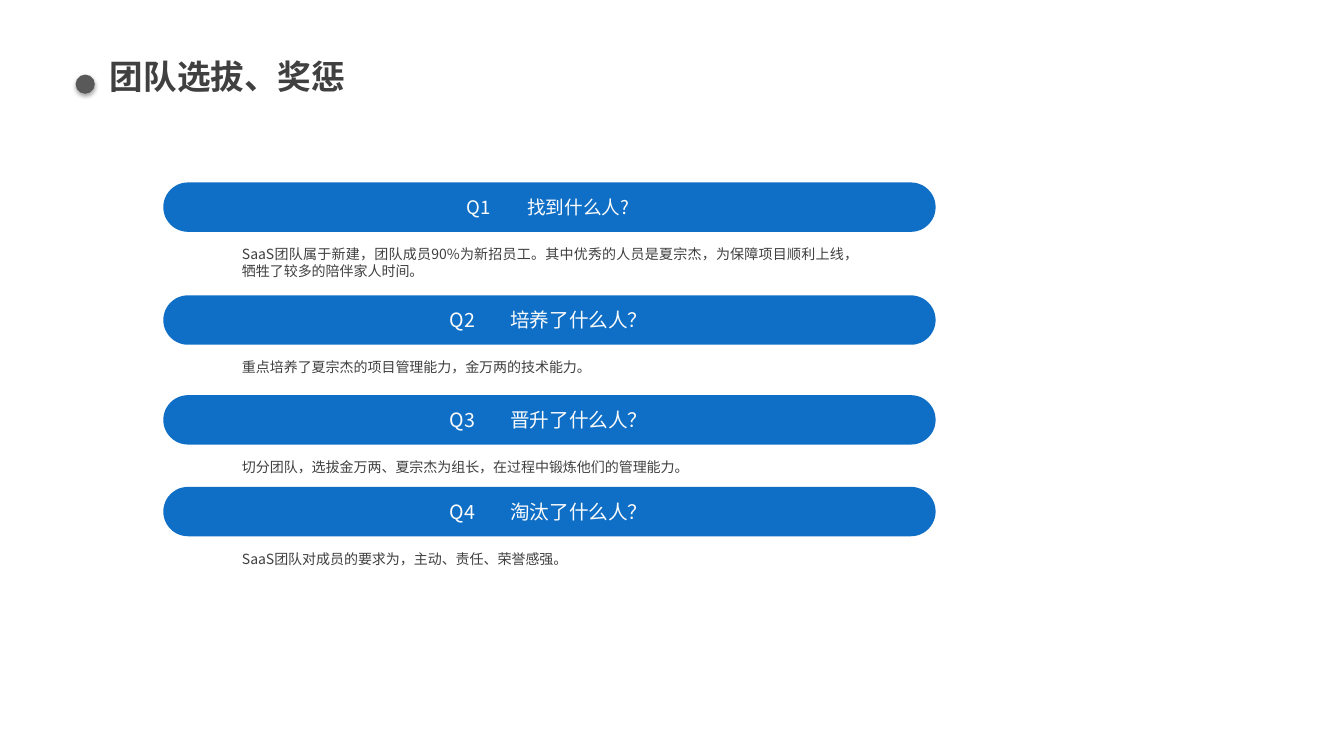
from dataclasses import dataclass

from lxml.etree import SubElement
from pptx import Presentation
from pptx.dml.color import RGBColor
from pptx.enum.shapes import MSO_SHAPE as Preset
from pptx.enum.text import MSO_ANCHOR as Anchor, PP_ALIGN as Align
from pptx.oxml.ns import qn
from pptx.util import Inches, Pt

HEADING = "团队选拔、奖惩"
QUESTIONS = [
    dict(top=1.81, number="Q1", question="找到什么人?", size=13.3, start=4.63,
         answer="SaaS团队属于新建，团队成员90%为新招员工。其中优秀的人员是夏宗杰，"
                "为保障项目顺利上线，牺牲了较多的陪伴家人时间。", lines=2),
    dict(top=2.93, number="Q2", question="培养了什么人？", size=14, start=4.46,
         answer="重点培养了夏宗杰的项目管理能力，金万两的技术能力。", lines=1),
    dict(top=3.92, number="Q3", question="晋升了什么人？", size=14, start=4.46,
         answer="切分团队，选拔金万两、夏宗杰为组长，在过程中锻炼他们的管理能力。", lines=1),
    dict(top=4.83, number="Q4", question="淘汰了什么人？", size=14, start=4.46,
         answer="SaaS团队对成员的要求为，主动、责任、荣誉感强。", lines=1),
]


@dataclass(frozen=True)
class Theme:
    font: str = "Noto Sans CJK SC"
    ink: str = "404040"
    dot: str = "595959"
    bar: str = "0F6FC6"
    light: str = "FCFCFC"
    heading_size: float = 24
    answer_size: float = 10


THEME = Theme()
BAR_LEFT, BAR_WIDTH, BAR_HEIGHT = 1.62, 7.66, 0.49
ANSWER_LEFT, ANSWER_WIDTH, ANSWER_DROP, LINE_HEIGHT = 2.4, 6.11, 0.63, 0.2
LABEL_HEIGHT, LABEL_RIGHT, QUESTION_INDENT = 0.34, 7.11, 0.6

deck = Presentation()
deck.slide_width, deck.slide_height = Inches(13.33), Inches(7.5)
slide = deck.slides.add_slide(deck.slide_layouts[6])


def add_text(text, at, size, color=THEME.ink, bold=False, align=Align.LEFT,
             anchor=Anchor.TOP, tab=None):
    frame = slide.shapes.add_textbox(*map(Inches, at)).text_frame
    frame.word_wrap = True
    frame.vertical_anchor = anchor
    frame.margin_left = frame.margin_right = frame.margin_top = frame.margin_bottom = 0
    paragraph = frame.paragraphs[0]
    paragraph.alignment = align
    if tab:
        stops = SubElement(paragraph._p.get_or_add_pPr(), qn("a:tabLst"))
        SubElement(stops, qn("a:tab"), pos=str(Inches(tab)), algn="l")
    run = paragraph.add_run()
    run.text = text
    run.font.name, run.font.size, run.font.bold = THEME.font, Pt(size), bold
    run.font.color.rgb = RGBColor.from_string(color)
    SubElement(run.font._element, qn("a:ea"), typeface=THEME.font)


def add_solid(preset, at, color):
    solid = slide.shapes.add_shape(preset, *map(Inches, at))
    solid.shadow.inherit = False
    solid.fill.solid()
    solid.fill.fore_color.rgb = RGBColor.from_string(color)
    solid.line.fill.background()
    return solid


def cast_shadow(solid, blur, distance, opacity):
    effects = solid._element.spPr.find(qn("a:effectLst"))
    shadow = SubElement(effects, qn("a:outerShdw"), blurRad=str(Pt(blur)),
                        dist=str(Pt(distance)), dir="5400000", rotWithShape="0")
    black = SubElement(shadow, qn("a:srgbClr"), val="000000")
    SubElement(black, qn("a:alpha"), val=str(opacity * 1000))


add_text(HEADING, (1.09, 0.55, 8.71, 0.5), THEME.heading_size, bold=True)
cast_shadow(add_solid(Preset.OVAL, (0.75, 0.74, 0.19, 0.19), THEME.dot), 3.1, 1.8, 35)

for item in QUESTIONS:
    top, start = item["top"], item["start"]
    bar = add_solid(Preset.ROUNDED_RECTANGLE,
                    (BAR_LEFT, top, BAR_WIDTH, BAR_HEIGHT), THEME.bar)
    bar.adjustments[0] = 0.5
    label_top = top + (BAR_HEIGHT - LABEL_HEIGHT) / 2
    add_text(f"{item['number']}\t{item['question']}",
             (start, label_top, LABEL_RIGHT - start, LABEL_HEIGHT), item["size"],
             color=THEME.light, anchor=Anchor.MIDDLE, tab=QUESTION_INDENT)
    add_text(item["answer"],
             (ANSWER_LEFT, top + ANSWER_DROP, ANSWER_WIDTH, item["lines"] * LINE_HEIGHT),
             THEME.answer_size, align=Align.JUSTIFY)

deck.save("out.pptx")
